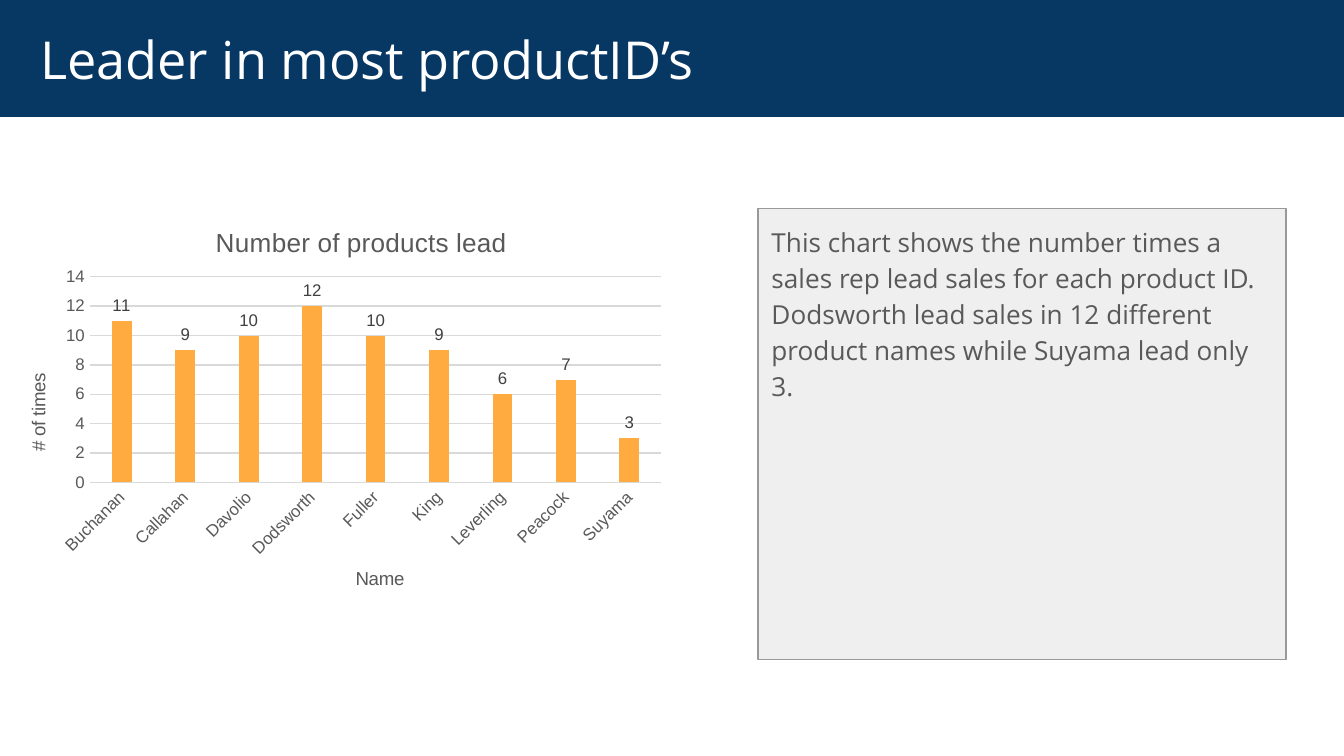
"""Build a slide with a column chart of products led by each sales rep."""
from lxml import etree
from pptx import Presentation
from pptx.chart.data import CategoryChartData
from pptx.dml.color import RGBColor
from pptx.enum import chart as ch, text
from pptx.oxml import ns
from pptx.util import Inches, Pt

COLORS = {
    "banner": "073763", "white": "FFFFFF", "panel": "EFEFEF", "border": "999999",
    "body": "595959", "grid": "D9D9D9", "column": "FFAB40", "label": "404040",
}
PRODUCTS_LED = {
    "Buchanan": 11, "Callahan": 9, "Davolio": 10, "Dodsworth": 12, "Fuller": 10,
    "King": 9, "Leverling": 6, "Peacock": 7, "Suyama": 3,
}
COMMENT = (
    "This chart shows the number times a sales rep lead sales for each product ID. "
    "Dodsworth lead sales in 12 different product names while Suyama lead only 3."
)


def rgb(name):
    """Return the named colour."""
    return RGBColor.from_string(COLORS[name])


def style_font(font, family, size, color):
    """Set a regular-weight font."""
    font.name, font.size, font.bold = family, Pt(size), False
    font.color.rgb = rgb(color)


def style_line(line, color):
    """Set a thin solid line."""
    line.color.rgb = rgb(color)
    line.width = Pt(0.75)


def fill_placeholder(holder, box, words, fill, size, color, left_inset=0.1):
    """Place, fill and write a placeholder, and return its text frame."""
    holder.left, holder.top, holder.width, holder.height = map(Inches, box)
    holder.fill.solid()
    holder.fill.fore_color.rgb = rgb(fill)
    frame = holder.text_frame
    frame.text = words
    frame.word_wrap = True
    frame.auto_size = text.MSO_AUTO_SIZE.NONE
    frame.margin_left = Inches(left_inset)
    frame.margin_top = frame.margin_right = frame.margin_bottom = Inches(0.1)
    paragraph = frame.paragraphs[0]
    paragraph.alignment = text.PP_ALIGN.LEFT
    style_font(paragraph.font, "Open Sans", size, color)
    return frame


def place(element, index, **values):
    """Give a chart part a manual layout."""
    for old in element.findall(ns.qn("c:layout")):
        element.remove(old)
    layout = etree.Element(ns.qn("c:layout"))
    manual = etree.SubElement(layout, ns.qn("c:manualLayout"))
    for tag, value in values.items():
        etree.SubElement(manual, ns.qn(f"c:{tag}")).set("val", str(value))
    element.insert(index, layout)


def add_title(title, words, size, x, y):
    """Write and place a chart or axis title."""
    title.text_frame.text = words
    style_font(title.text_frame.paragraphs[0].font, "Arial", size, "body")
    place(title._element, 1, xMode="edge", yMode="edge", x=x, y=y)


def style_axis(axis):
    """Remove the tick marks and set the label font."""
    axis.major_tick_mark = axis.minor_tick_mark = ch.XL_TICK_MARK.NONE
    style_font(axis.tick_labels.font, "Arial", 9, "body")


def add_products_chart(slide):
    """Add the column chart of products led."""
    data = CategoryChartData()
    data.categories = list(PRODUCTS_LED)
    data.add_series("Series 1", list(PRODUCTS_LED.values()))
    box = map(Inches, (0.17, 1.55, 5, 3))
    chart = slide.shapes.add_chart(ch.XL_CHART_TYPE.COLUMN_CLUSTERED, *box, data).chart
    chart.has_legend = False
    chart.font.name, chart.font.size = "Arial", Pt(10)
    add_title(chart.chart_title, "Number of products lead", 14, 0.28, 0.03)
    chart.chart_title.include_in_layout = False

    names, counts = chart.category_axis, chart.value_axis
    style_axis(names)
    style_line(names.format.line, "grid")
    names._element.find(ns.qn("c:txPr")).find(ns.qn("a:bodyPr")).set("rot", "-2700000")
    add_title(names.axis_title, "Name", 10, 0.49, 0.88)
    style_axis(counts)
    counts.format.line.fill.background()
    counts.minimum_scale, counts.maximum_scale, counts.major_unit = 0, 14, 2
    style_line(counts.major_gridlines.format.line, "grid")
    add_title(counts.axis_title, "# of times", 10, 0, 0.4)
    counts.axis_title.text_frame._txBody.find(ns.qn("a:bodyPr")).set("rot", "-5400000")

    plot = chart.plots[0]
    plot.gap_width, plot.overlap, plot.vary_by_categories = 219, -27, False
    series = plot.series[0]
    series.format.fill.solid()
    series.format.fill.fore_color.rgb = rgb("column")
    labels = series.data_labels
    labels.show_value = True
    labels.position = ch.XL_LABEL_POSITION.OUTSIDE_END
    style_font(labels.font, "Arial", 9, "label")
    plot_area = chart._chartSpace.find(".//" + ns.qn("c:plotArea"))
    place(plot_area, 0, layoutTarget="inner", xMode="edge", yMode="edge",
          x=0.1, y=0.17, w=0.85, h=0.51)


def main():
    """Build and save the deck."""
    deck = Presentation()
    deck.slide_width = Inches(10)
    deck.slide_height = deck.slide_width * 9 // 16
    slide = deck.slides.add_slide(deck.slide_layouts[1])
    heading, comment = slide.placeholders

    panel = fill_placeholder(comment, (5.64, 1.55, 3.93, 3.36), COMMENT, "panel", 14, "body")
    panel.vertical_anchor = text.MSO_ANCHOR.TOP
    style_line(comment.line, "border")
    remark = panel.paragraphs[0]
    remark.line_spacing, remark.space_before, remark.space_after = 1.15, Pt(0), Pt(16)
    properties = remark._p.get_or_add_pPr()
    properties.set("marL", "0")
    properties.set("indent", "0")
    bullet = etree.Element(ns.qn("a:buNone"))
    properties.find(ns.qn("a:spcAft")).addnext(bullet)

    banner = fill_placeholder(heading, (0, 0, 10, 0.87), "Leader in most productID’s",
                              "banner", 28, "white", left_inset=0.3)
    banner.vertical_anchor = text.MSO_ANCHOR.MIDDLE
    add_products_chart(slide)
    deck.save("out.pptx")


if __name__ == "__main__":
    main()
